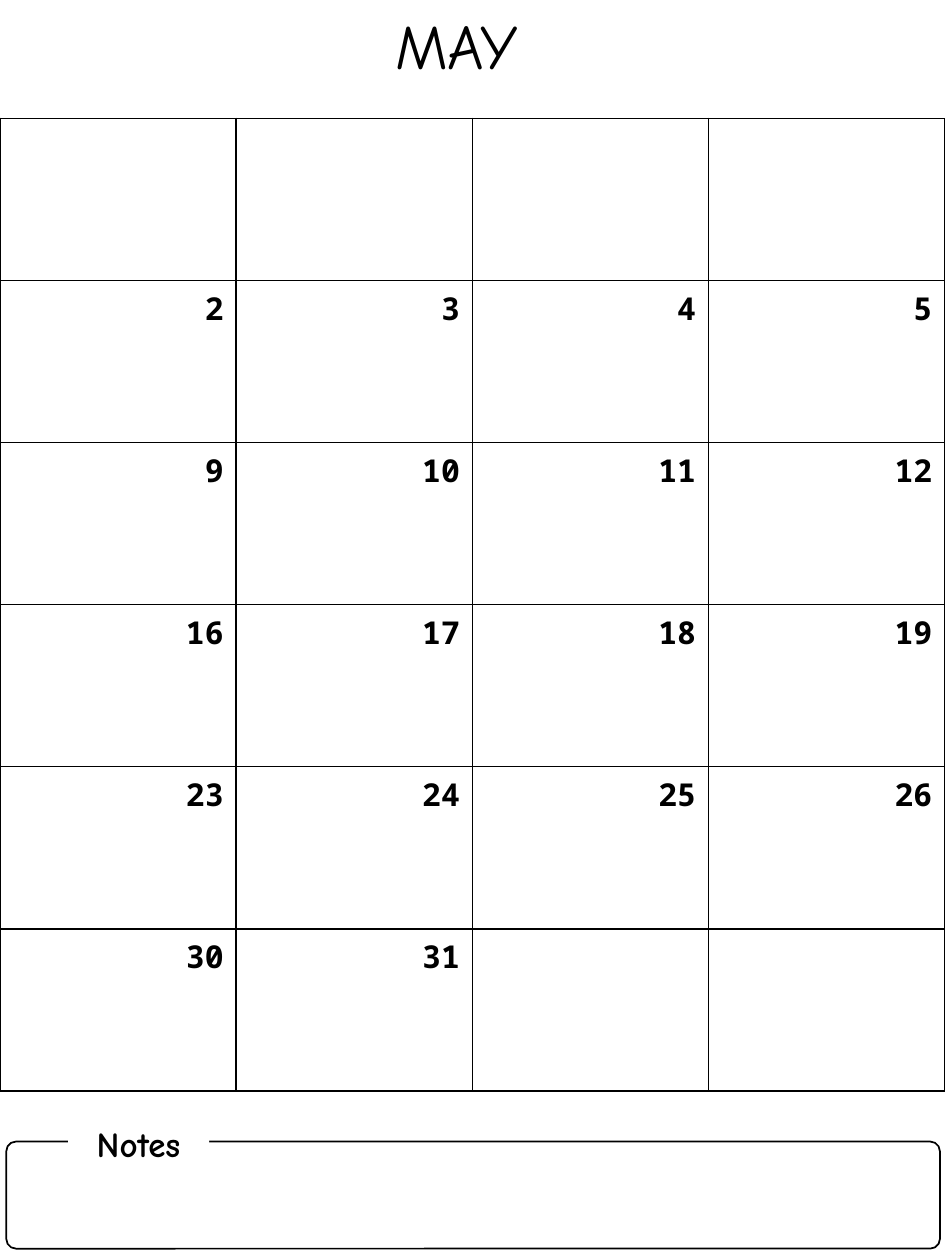
from lxml import etree
from pptx import Presentation
from pptx.dml.color import RGBColor
from pptx.enum.shapes import MSO_SHAPE
from pptx.enum.text import MSO_ANCHOR, PP_ALIGN
from pptx.oxml.ns import qn
from pptx.util import Pt

BLACK = RGBColor(0, 0, 0)
WHITE = RGBColor(255, 255, 255)
HEADING_FONT = "Comic Neue"
DAY_FONT = "Noto Sans Mono"
ROWS, COLUMNS = 6, 4
FIRST_DAY, LAST_DAY = 2, 31


def write(frame, text, font, size, align, bold=False):
    paragraph = frame.paragraphs[0]
    paragraph.alignment = align
    run = paragraph.add_run()
    run.text = text
    run.font.name = font
    run.font.size = Pt(size)
    run.font.bold = bold
    run.font.color.rgb = BLACK


def add_borders(cell, width):
    properties = cell._tc.get_or_add_tcPr()
    for index, side in enumerate(("lnL", "lnR", "lnT", "lnB")):
        line = etree.Element(qn(f"a:{side}"), w=str(Pt(width)))
        fill = etree.SubElement(line, qn("a:solidFill"))
        etree.SubElement(fill, qn("a:srgbClr"), val=str(BLACK))
        properties.insert(index, line)


def add_month_title(slide, left, top, width, height):
    title = slide.shapes.title
    title.left, title.top = Pt(left), Pt(top)
    title.width, title.height = Pt(width), Pt(height)
    title.text_frame.vertical_anchor = MSO_ANCHOR.TOP
    write(title.text_frame, "MAY", HEADING_FONT, 36, PP_ALIGN.CENTER)


def add_calendar(slide, left, top, width, height):
    table = slide.shapes.add_table(
        ROWS, COLUMNS, Pt(left), Pt(top), Pt(width), Pt(height)).table
    table.first_row = table.horz_banding = False
    for column in table.columns:
        column.width = Pt(width / COLUMNS)
    for row_index, row in enumerate(table.rows):
        row.height = Pt(height / ROWS)
        for column_index, cell in enumerate(row.cells):
            cell.fill.background()
            add_borders(cell, 1)
            # Each row is one week; the first row stays empty
            day = FIRST_DAY + 7 * (row_index - 1) + column_index
            if FIRST_DAY <= day <= LAST_DAY and row_index > 0:
                write(cell.text_frame, str(day), DAY_FONT, 18, PP_ALIGN.RIGHT, True)


def add_rounded_box(slide, left, top, width, height):
    box = slide.shapes.add_shape(
        MSO_SHAPE.ROUNDED_RECTANGLE, Pt(left), Pt(top), Pt(width), Pt(height))
    box.shadow.inherit = False
    return box


def add_notes(slide, left, top, width, height):
    # Outline
    outline = add_rounded_box(slide, left, top, width, height)
    outline.adjustments[0] = 0.09
    outline.fill.background()
    outline.line.color.rgb = BLACK
    outline.line.width = Pt(1)

    # Label over the top edge
    label = add_rounded_box(slide, left + 35.3, top - 21.6, 80.6, 40.3)
    label.fill.solid()
    label.fill.fore_color.rgb = WHITE
    label.line.fill.background()
    label.text_frame.vertical_anchor = MSO_ANCHOR.BOTTOM
    write(label.text_frame, "Notes", HEADING_FONT, 20, PP_ALIGN.CENTER, True)


presentation = Presentation()
presentation.slide_width, presentation.slide_height = Pt(540), Pt(720)
slide = presentation.slides.add_slide(presentation.slide_layouts[5])
add_month_title(slide, 138.2, 0, 245.5, 51.1)
add_calendar(slide, 0, 67.7, 540, 555.8)
add_notes(slide, 3.6, 652.3, 533.5, 61.2)
presentation.save("out.pptx")
